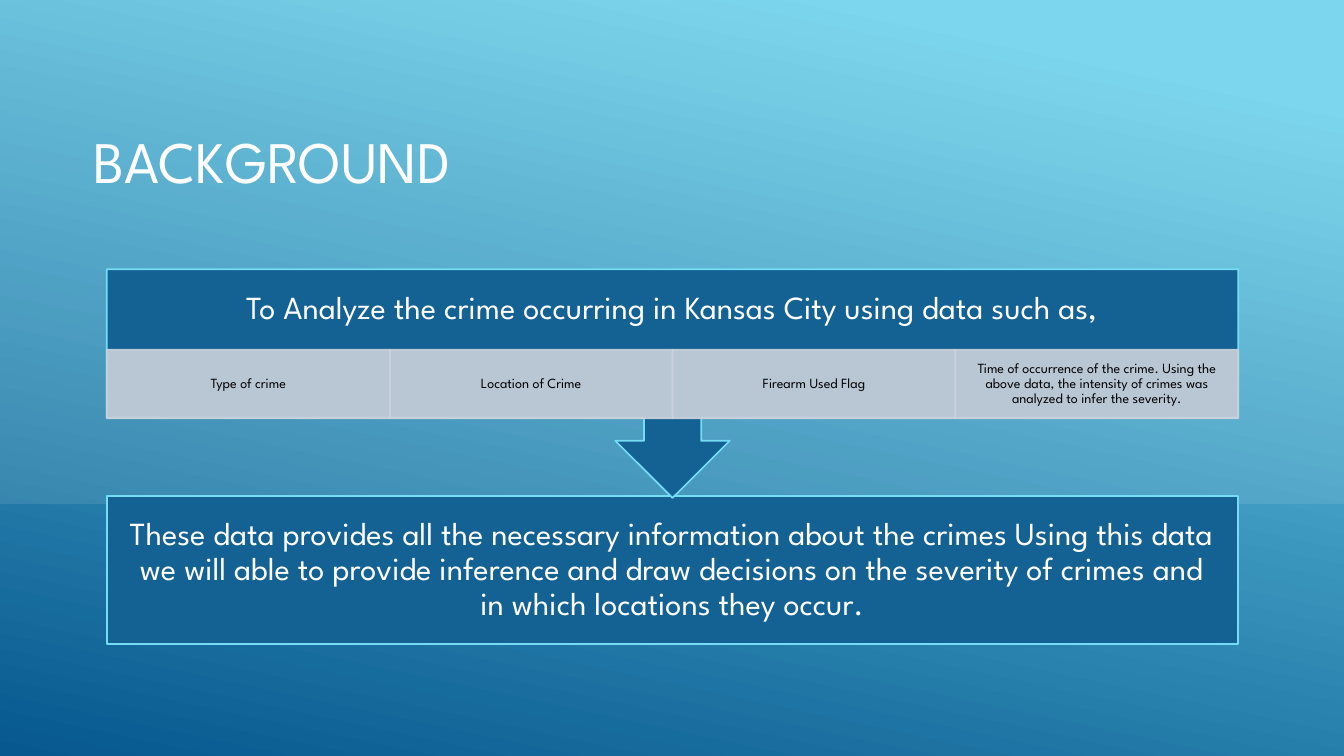
from lxml.etree import SubElement
from pptx import Presentation
from pptx.dml.color import RGBColor
from pptx.enum.shapes import MSO_SHAPE
from pptx.enum.text import MSO_ANCHOR, MSO_AUTO_SIZE, PP_ALIGN
from pptx.oxml.ns import qn
from pptx.util import Inches, Pt

FONT = "League Spartan"
HEX = {
    "sky": "6ED2EB",
    "deep": "06588E",
    "box": "146194",
    "edge": "76DBF4",
    "cell": "CCD2DC",
    "white": "FFFFFF",
    "black": "000000",
}
WIDE, HIGH = 13.33, 7.5
LEFT, SPAN = 1.06, 11.22
TOP, HEAD, ROW = 2.67, 0.8, 0.68
CALL = 2.27
LAST, TALL = 4.92, 1.47
FACTS = [
    "Type of crime",
    "Location of Crime",
    "Firearm Used Flag",
    "Time of occurrence of the crime. Using the above data, the intensity "
    "of crimes was analyzed to infer the severity.",
]


def color(name):
    return RGBColor.from_string(HEX[name])


def add_box(slide, kind, area, fill, line=None, alpha=100):
    shape = slide.shapes.add_shape(kind, *map(Inches, area))
    shape.shadow.inherit = False
    shape.fill.solid()
    shape.fill.fore_color.rgb = color(fill)
    if line:
        shape.line.color.rgb = color(line)
        shape.line.width = Pt(1.25)
    else:
        shape.line.fill.background()
    if alpha < 100:
        for tint in shape._element.spPr.iter(qn("a:srgbClr")):
            SubElement(tint, qn("a:alpha")).set("val", str(alpha * 1000))
    return shape


def set_text(shape, text, size, ink, pads, align=PP_ALIGN.CENTER):
    frame = shape.text_frame
    frame.word_wrap = True
    frame.auto_size = MSO_AUTO_SIZE.NONE
    frame.vertical_anchor = MSO_ANCHOR.MIDDLE
    (frame.margin_left, frame.margin_top,
     frame.margin_right, frame.margin_bottom) = map(Inches, pads)
    para = frame.paragraphs[0]
    para.text = text
    para.alignment = align
    para.line_spacing = 0.9
    para.font.name = FONT
    para.font.size = Pt(size)
    para.font.color.rgb = color(ink)


def add_sky(slide):
    sky = add_box(slide, MSO_SHAPE.RECTANGLE, (0, 0, WIDE, HIGH), "sky")
    sky.fill.gradient()
    sky.fill.gradient_angle = 360 - 102
    stops = zip(sky.fill.gradient_stops, (0.1, 1), ("sky", "deep"))
    for stop, place, name in stops:
        stop.position = place
        stop.color.rgb = color(name)


def add_title(slide, text):
    title = slide.shapes.title
    slide.shapes._spTree.append(title._element)
    title.left, title.top, title.width, title.height = map(
        Inches, (0.75, 0.86, 10.46, 1.2))
    set_text(title, text, 42, "white", (0.18, 0.39, 0.1, 0.05), PP_ALIGN.LEFT)


def add_panel(slide):
    panel = add_box(slide, MSO_SHAPE.SNIP_2_DIAG_RECTANGLE,
                    (0, 0, WIDE, HIGH * 2 / 3), "white", alpha=10)
    panel.adjustments[0] = panel.adjustments[1] = 0


def add_result(slide, text):
    box = add_box(slide, MSO_SHAPE.RECTANGLE, (LEFT, LAST, SPAN, TALL),
                  "box", "edge")
    set_text(box, text, 23, "white", [0.18] * 4)


def add_goal(slide, text):
    call = add_box(slide, MSO_SHAPE.UP_ARROW_CALLOUT,
                   (LEFT, TOP, SPAN, CALL), "box", "edge")
    call.rotation = 180
    label = slide.shapes.add_textbox(*map(Inches, (LEFT, TOP, SPAN, HEAD)))
    set_text(label, text, 23, "white", [0.18] * 4)


def add_facts(slide, facts):
    step = SPAN / len(facts)
    for col, fact in enumerate(facts):
        area = (LEFT + col * step, TOP + HEAD, step, ROW)
        cell = add_box(slide, MSO_SHAPE.RECTANGLE, area, "cell", "cell", 90)
        set_text(cell, fact, 10, "black", (0.08, 0.01, 0.08, 0.01))


def main():
    deck = Presentation()
    deck.slide_width, deck.slide_height = Inches(WIDE), Inches(HIGH)
    slide = deck.slides.add_slide(deck.slide_layouts[5])
    add_sky(slide)
    add_title(slide, "BACKGROUND")
    add_panel(slide)
    add_result(slide, "These data provides all the necessary information about "
               "the crimes Using this data we will able to provide inference "
               "and draw decisions on the severity of crimes and in which "
               "locations they occur.")
    add_goal(slide, "To Analyze the crime occurring in Kansas City "
             "using data such as,")
    add_facts(slide, FACTS)
    deck.save("out.pptx")


if __name__ == "__main__":
    main()
